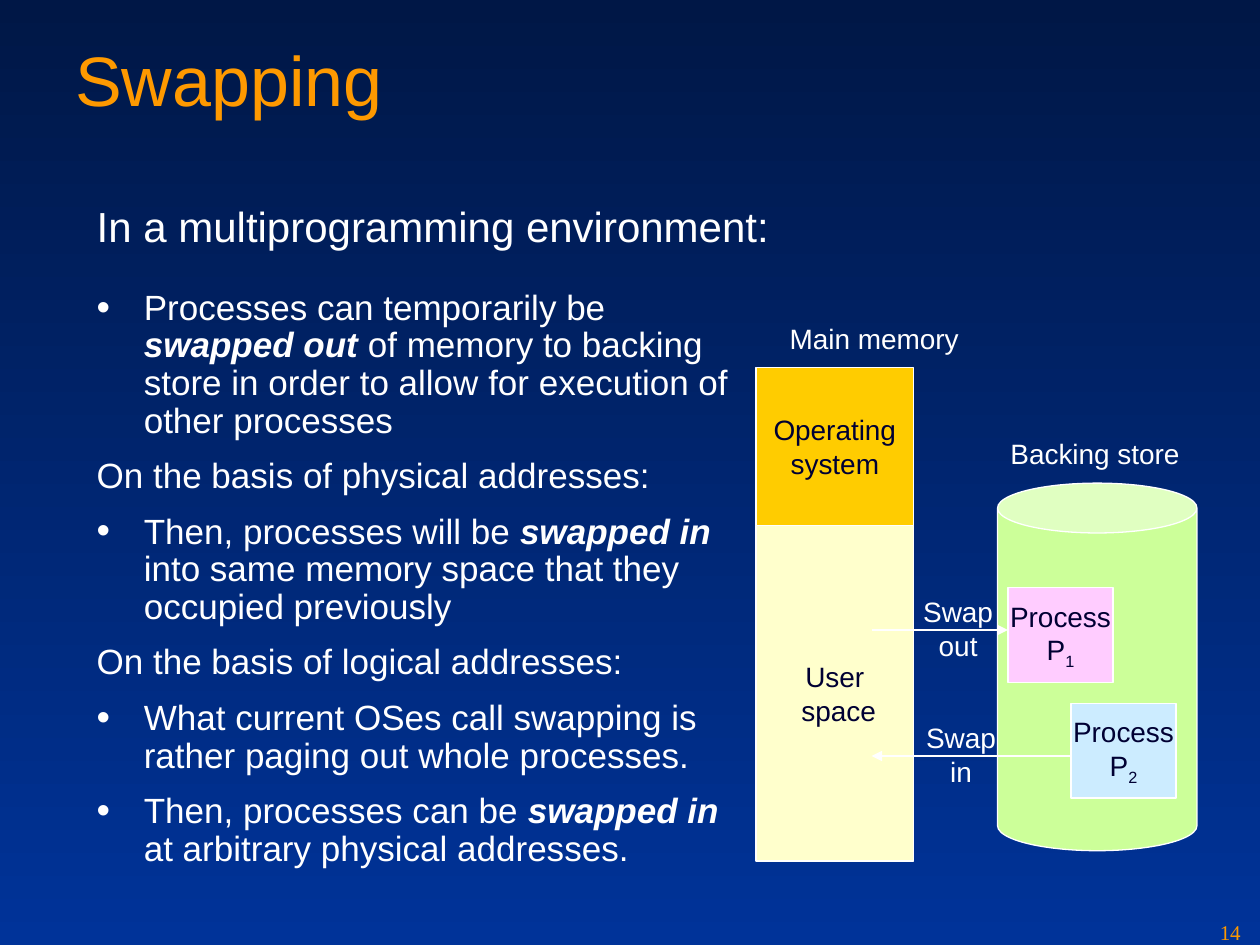
from lxml import etree
from pptx import Presentation
from pptx.dml.color import RGBColor
from pptx.enum import shapes, text
from pptx.oxml.ns import qn
from pptx.util import Cm, Pt

COLORS = {
    "sky": "001746", "deep": "003399", "title": "FE9900", "white": "FFFFFF",
    "ink": "000033", "os": "FFCC00", "user": "FFFFCC", "store": "CCFF99",
    "p1": "FFCCFF", "p2": "CCECFF",
}

# Content; text between bars is emphasised (body) or subscript (boxes)
TITLE = "Swapping"
INTRO = "In a multiprogramming environment:"
BODY = [  # (bulleted, text)
    (True, "Processes can temporarily be |swapped out| of memory to backing "
           "store in order to allow for execution of other processes"),
    (False, "On the basis of physical addresses:"),
    (True, "Then, processes will be |swapped in| into same memory space "
           "that they occupied previously"),
    (False, "On the basis of logical addresses:"),
    (True, "What current OSes call swapping is rather paging out whole processes."),
    (True, "Then, processes can be |swapped in| at arbitrary physical addresses."),
]
MEM_X, MEM_W, MEM_Y, OS_H, USER_H = 15.24, 3.18, 7.41, 3.18, 6.77
STORE = (20.11, 9.74, 4.02, 7.41)
PROC_W, PROC_H = 2.12, 1.91
P1_X, P2_X, ARROW_X = 20.32, 21.59, 17.57
BOXES = [  # (text, fill, position)
    ("Operating\nsystem", "os", (MEM_X, MEM_Y, MEM_W, OS_H)),
    ("User\n space", "user", (MEM_X, MEM_Y + OS_H, MEM_W, USER_H)),
    ("Process\nP|1|", "p1", (P1_X, 11.85, PROC_W, PROC_H)),
    ("Process\nP|2|", "p2", (P2_X, 14.18, PROC_W, PROC_H)),
]
ARROWS = [(ARROW_X, P1_X, 12.7), (P2_X, ARROW_X, 15.24)]  # from x, to x, y
LABELS = [  # (text, position, centred)
    ("Swap\nout", (18.36, 11.86, 1.91, 1.63), True),
    ("Swap\nin", (18.42, 14.4, 1.91, 1.63), True),
    ("Main memory", (15.67, 6.35, 3.95, 0.94), False),
    ("Backing store", (20.12, 8.68, 3.95, 0.94), False),
]

prs = Presentation()
prs.slide_width, prs.slide_height = Cm(25.4), Cm(19.05)
slide = prs.slides.add_slide(prs.slide_layouts[6])


def rgb(name):
    return RGBColor.from_string(COLORS[name])


def write(p, content, size=16, color="white", font="Arial", center=False,
          accent="emph", spacing=None, before=0, after=0):
    p.alignment = text.PP_ALIGN.CENTER if center else text.PP_ALIGN.LEFT
    p.space_before, p.space_after = Pt(before), Pt(after)
    if spacing:
        p.line_spacing = spacing
    for i, piece in enumerate(content.split("|")):
        for j, line in enumerate(piece.split("\n")):
            if j:
                p.add_line_break()
            if not line:
                continue
            r = p.add_run()
            r.text = line
            r.font.size, r.font.name = Pt(size), font
            r.font.color.rgb = rgb(color)
            if i % 2 and accent == "emph":
                r.font.bold = r.font.italic = True
            elif i % 2:
                r.font._element.set("baseline", "-25000")


def add_text(content, pos, wrap=False, **fmt):
    tf = slide.shapes.add_textbox(*map(Cm, pos)).text_frame
    tf.word_wrap = wrap
    if not wrap:
        tf.auto_size = text.MSO_AUTO_SIZE.SHAPE_TO_FIT_TEXT
    write(tf.paragraphs[0], content, **fmt)


def add_solid(kind, pos, fill):
    sp = slide.shapes.add_shape(kind, *map(Cm, pos))
    sp.shadow.inherit = False
    sp.fill.solid()
    sp.fill.fore_color.rgb = rgb(fill)
    sp.line.color.rgb = rgb("white")
    sp.line.width = Pt(0.75)
    return sp


def hang(p, bulleted):
    pPr = p._p.get_or_add_pPr()
    pPr.set("marL", str(Cm(0.95)))
    pPr.set("indent", str(-Cm(0.95)))
    if not bulleted:
        etree.SubElement(pPr, qn("a:buNone"))
        return
    clr = etree.SubElement(pPr, qn("a:buClr"))
    etree.SubElement(clr, qn("a:srgbClr"), val=COLORS["white"])
    etree.SubElement(pPr, qn("a:buSzPct"), val="110000")
    etree.SubElement(pPr, qn("a:buFont"), typeface="Arial")
    etree.SubElement(pPr, qn("a:buChar"), char="•")


# Background gradient, top to bottom
bg = slide.background.fill
bg.gradient()
bg.gradient_angle = 270
for stop, name in zip(bg.gradient_stops, ("sky", "deep")):
    stop.color.rgb = rgb(name)

# Title and body
add_text(TITLE, (1.27, 0.61, 22.86, 3.18), wrap=True, size=40, color="title")
add_text(INTRO, (1.7, 4.03, 14.3, 1.17), wrap=True, size=24, spacing=0.9)
tf = slide.shapes.add_textbox(Cm(1.7), Cm(5.72), Cm(13.54), Cm(12.07)).text_frame
tf.word_wrap = True
for n, (bulleted, content) in enumerate(BODY):
    p = tf.add_paragraph() if n else tf.paragraphs[0]
    hang(p, bulleted)
    write(p, content, size=20, spacing=0.9, before=5 if n else 0, after=5)

# Backing store, memory areas and processes
can = add_solid(shapes.MSO_SHAPE.CAN, STORE, "store")
can.adjustments[0] = 0.25
for content, fill, pos in BOXES:
    tf = add_solid(shapes.MSO_SHAPE.RECTANGLE, pos, fill).text_frame
    tf.word_wrap = False
    tf.vertical_anchor = text.MSO_ANCHOR.MIDDLE
    write(tf.paragraphs[0], content, color="ink", center=True, accent="sub")

# Swap arrows
for x1, x2, y in ARROWS:
    line = slide.shapes.add_connector(
        shapes.MSO_CONNECTOR.STRAIGHT, Cm(x1), Cm(y), Cm(x2), Cm(y))
    line.line.color.rgb = rgb("white")
    line.line.width = Pt(0.75)
    etree.SubElement(line.line._get_or_add_ln(), qn("a:tailEnd"), type="triangle")
    etree.SubElement(line._element.spPr, qn("a:effectLst"))

# Diagram labels and slide number
for content, pos, center in LABELS:
    add_text(content, pos, center=center)
add_text("14", (24.34, 18.42, 1.06, 0.63), wrap=True, size=12, color="title",
         font="Times New Roman")

prs.save("out.pptx")
